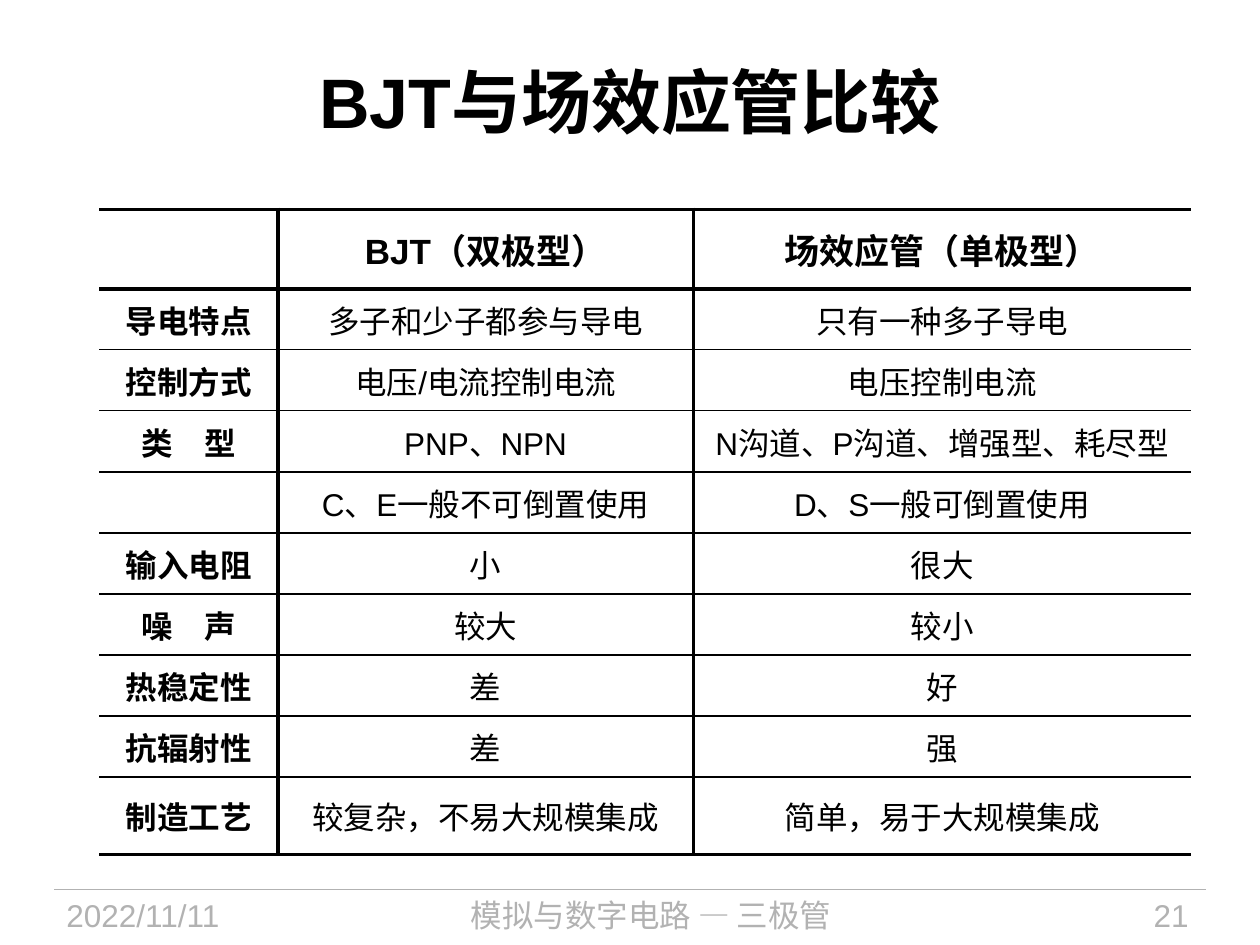
from dataclasses import dataclass

from lxml.etree import SubElement
from pptx import Presentation
from pptx.dml.color import RGBColor
from pptx.enum.shapes import MSO_CONNECTOR
from pptx.enum.text import MSO_ANCHOR, PP_ALIGN
from pptx.oxml import parse_xml
from pptx.oxml.ns import nsdecls, qn
from pptx.util import Cm, Pt


@dataclass(frozen=True)
class Theme:
    """Colours, fonts, type sizes and line widths of the slide."""

    ink: str = "000000"
    muted: str = "B2B2B2"
    face: str = "Arial"
    dash_face: str = "Times New Roman"
    title_size: float = 40
    header_size: float = 20
    body_size: float = 18
    heavy: float = 2.25
    thin: float = 1
    hairline: float = 0.75


THEME = Theme()

COMPARISON = [
    ("", "BJT（双极型）", "场效应管（单极型）"),
    ("导电特点", "多子和少子都参与导电", "只有一种多子导电"),
    ("控制方式", "电压/电流控制电流", "电压控制电流"),
    ("类　型", "PNP、NPN", "N沟道、P沟道、增强型、耗尽型"),
    ("", "C、E一般不可倒置使用", "D、S一般可倒置使用"),
    ("输入电阻", "小", "很大"),
    ("噪　声", "较大", "较小"),
    ("热稳定性", "差", "好"),
    ("抗辐射性", "差", "强"),
    ("制造工艺", "较复杂，不易大规模集成", "简单，易于大规模集成"),
]
COLUMN_WIDTHS = [3.6, 8.38, 10.02]
ROW_HEIGHTS = [1.6] + [1.23] * 8 + [1.57]


def apply_format(target, values):
    """Set every attribute named in values on target."""
    for name, value in values.items():
        setattr(target, name, value)


def write(paragraph, words, size, colour, bold=False, face=THEME.face):
    """Append one formatted run to a paragraph."""
    run = paragraph.add_run()
    run.text = words
    apply_format(run.font, {"name": face, "size": Pt(size), "bold": bold})
    run.font.color.rgb = RGBColor.from_string(colour)


def draw_rule(slide, left, top, width, colour, weight):
    """Draw a horizontal rule without a shadow."""
    rule = slide.shapes.add_connector(
        MSO_CONNECTOR.STRAIGHT, Cm(left), Cm(top), Cm(left + width), Cm(top))
    rule.line.color.rgb = RGBColor.from_string(colour)
    rule.line.width = Pt(weight)
    SubElement(rule._element.spPr, qn("a:effectLst"))


def set_borders(cell, weights):
    """Border a cell with left, right, top and bottom weights, where 0 hides a side."""
    properties = cell._tc.get_or_add_tcPr()
    for place, (side, weight) in enumerate(zip("LRTB", weights)):
        paint = (f'<a:solidFill><a:srgbClr val="{THEME.ink}"/></a:solidFill>'
                 if weight else "<a:noFill/>")
        properties.insert(place, parse_xml(
            f'<a:ln{side} {nsdecls("a")} w="{Pt(weight)}">{paint}</a:ln{side}>'))


def place_title(slide, left, top, width, height):
    """Position and fill the title placeholder."""
    title = slide.shapes.title
    apply_format(title, {"left": Cm(left), "top": Cm(top),
                         "width": Cm(width), "height": Cm(height)})
    title.text_frame.vertical_anchor = MSO_ANCHOR.MIDDLE
    heading = title.text_frame.paragraphs[0]
    heading.alignment = PP_ALIGN.CENTER
    write(heading, "BJT与场效应管比较", THEME.title_size, THEME.ink, bold=True)


def place_comparison(slide, left, top, width, height):
    """Build the comparison table and the heavy rule below its header."""
    last_row, last_column = len(COMPARISON) - 1, len(COLUMN_WIDTHS) - 1
    table = slide.shapes.add_table(
        last_row + 1, last_column + 1,
        Cm(left), Cm(top), Cm(width), Cm(height)).table
    apply_format(table, {"first_row": False, "horz_banding": False})
    for column, column_width in zip(table.columns, COLUMN_WIDTHS):
        column.width = Cm(column_width)
    for row, row_height in zip(table.rows, ROW_HEIGHTS):
        row.height = Cm(row_height)
    cell_format = {"vertical_anchor": MSO_ANCHOR.MIDDLE, "margin_left": 0,
                   "margin_right": 0, "margin_top": 0, "margin_bottom": 0}
    for r, entries in enumerate(COMPARISON):
        for c, entry in enumerate(entries):
            cell = table.cell(r, c)
            apply_format(cell, cell_format)
            cell.fill.background()
            set_borders(cell, (
                THEME.heavy if c > 0 else 0,
                THEME.heavy if c < last_column else 0,
                THEME.heavy if r == 0 else THEME.thin,
                THEME.heavy if r == last_row else THEME.thin))
            if entry:
                paragraph = cell.text_frame.paragraphs[0]
                paragraph.alignment = PP_ALIGN.CENTER
                size = THEME.header_size if r == 0 else THEME.body_size
                write(paragraph, entry, size, THEME.ink, bold=r == 0 or c == 0)
    draw_rule(slide, left, top + ROW_HEIGHTS[0], width, THEME.ink, THEME.heavy)


def place_footer(slide, left, top, width, height):
    """Place the rule, date, course name and page number."""
    draw_rule(slide, left, top, width, THEME.muted, THEME.hairline)
    course = [("模拟与数字电路 ", THEME.face), ("— ", THEME.dash_face),
              ("三极管", THEME.face)]
    parts = [
        (0, 4.78, PP_ALIGN.LEFT, [("2022/11/11", THEME.face)]),
        (5.23, 13.61, PP_ALIGN.CENTER, course),
        (19.74, 3.38, PP_ALIGN.RIGHT, [("21", THEME.face)]),
    ]
    for offset, part_width, alignment, pieces in parts:
        frame = slide.shapes.add_textbox(
            Cm(left + offset), Cm(top), Cm(part_width), Cm(height)).text_frame
        frame.word_wrap = True
        paragraph = frame.paragraphs[0]
        paragraph.alignment = alignment
        for words, face in pieces:
            write(paragraph, words, THEME.body_size, THEME.muted, face=face)


def main():
    """Build and save the comparison slide."""
    deck = Presentation()
    apply_format(deck, {"slide_width": Cm(25.4), "slide_height": Cm(19.05)})
    slide = deck.slides.add_slide(deck.slide_layouts.get_by_name("Title Only"))
    place_title(slide, 1.27, 0.43, 22.86, 3.18)
    place_comparison(slide, 2, 4.22, sum(COLUMN_WIDTHS), sum(ROW_HEIGHTS))
    place_footer(slide, 1.09, 17.93, 23.22, 1.12)
    deck.save("out.pptx")


if __name__ == "__main__":
    main()
